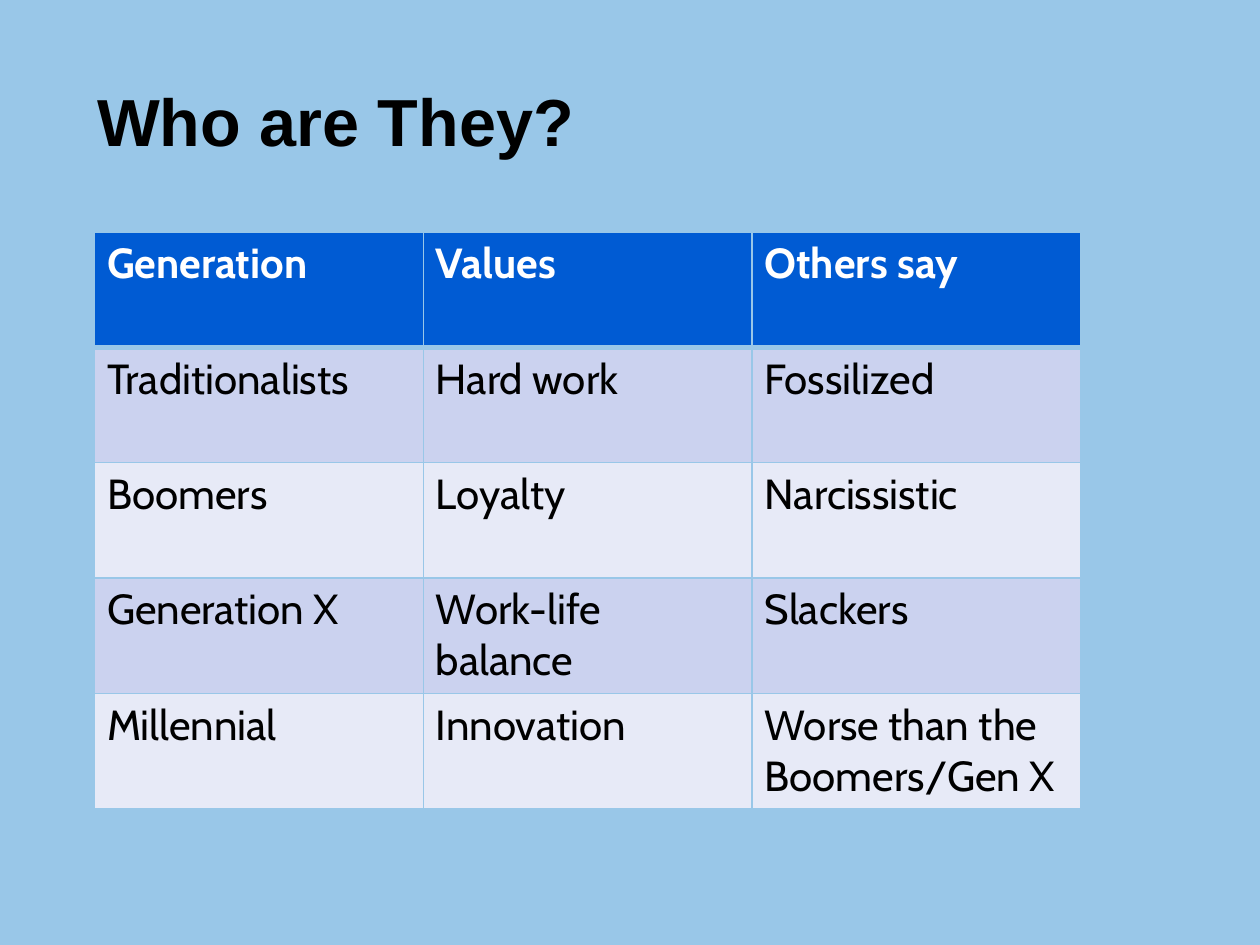
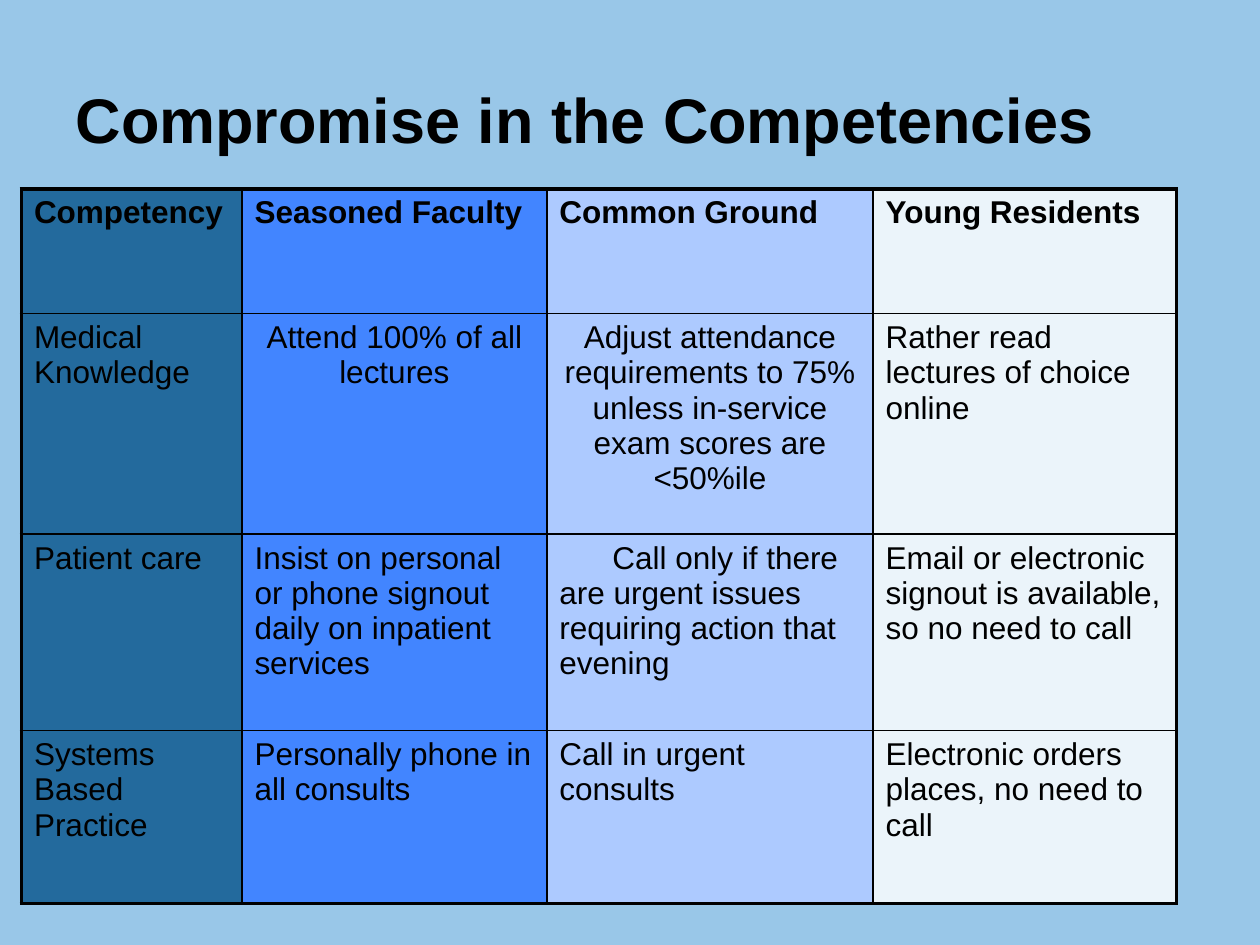
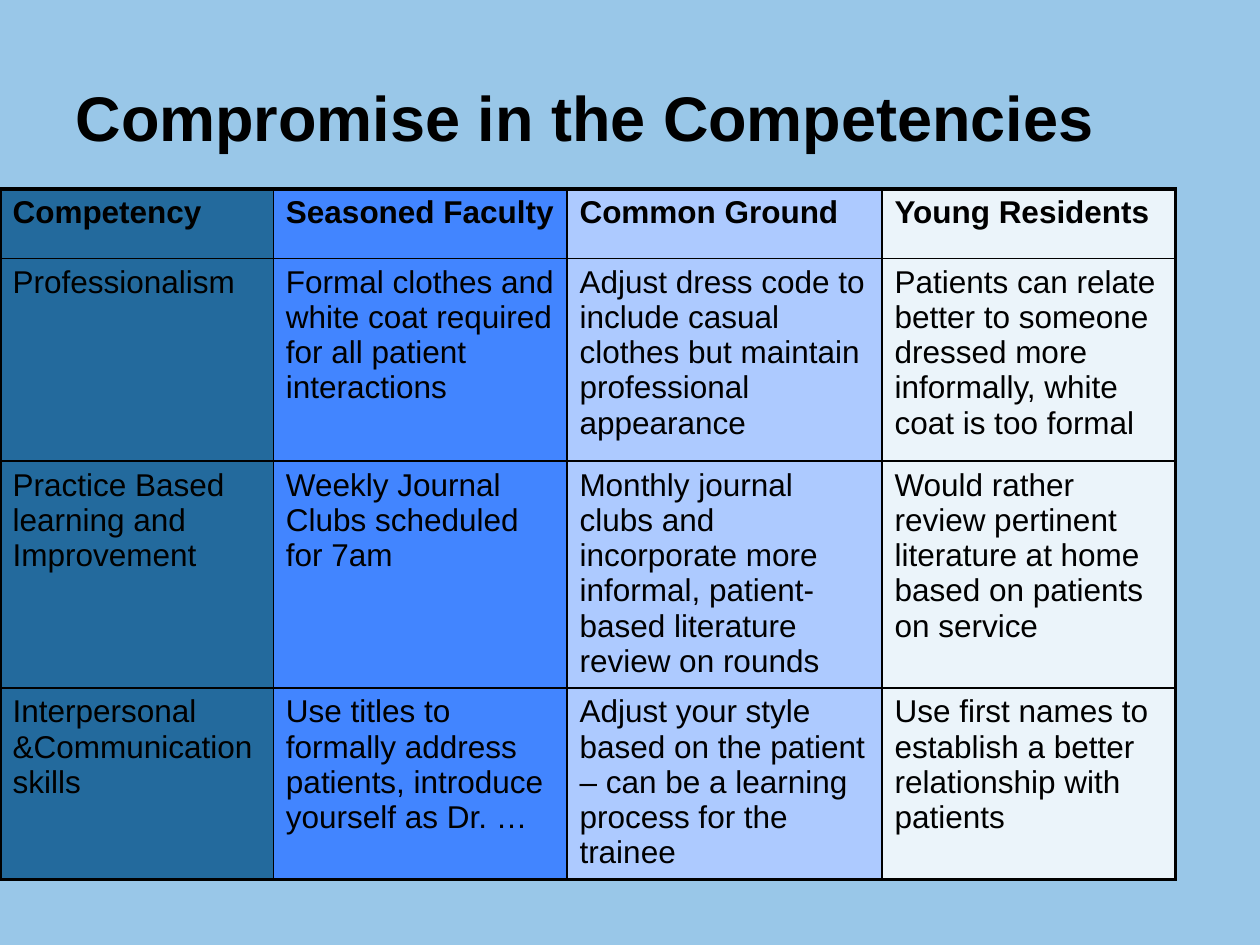
"""Build three slides on generations and on compromise in the competencies."""
from lxml.etree import SubElement
from pptx import Presentation
from pptx.dml.color import RGBColor
from pptx.enum.text import MSO_ANCHOR, MSO_AUTO_SIZE, PP_ALIGN
from pptx.oxml.ns import qn
from pptx.util import Inches, Pt

SKY, BLACK, WHITE = "99C7E8", "000000", "FFFFFF"
HEADER_BLUE, BAND_FILLS = "005BD3", ("CBD2EF", "E7EAF7")
COLUMN_FILLS = ("236A9D", "4285FF", "ADCAFF", "EBF4FA")
HEADINGS = ("Competency", "Seasoned Faculty", "Common Ground", "Young Residents")
COMPROMISE = "Compromise in the Competencies"

GENERATIONS = [
    ("Generation", "Values", "Others say"),
    ("Traditionalists", "Hard work", "Fossilized"),
    ("Boomers", "Loyalty", "Narcissistic"),
    ("Generation X", "Work-life balance", "Slackers"),
    ("Millennial", "Innovation", "Worse than the Boomers/Gen X"),
]
CLINICAL = [
    HEADINGS,
    ("Medical Knowledge", "Attend 100% of all lectures",
     "Adjust attendance requirements to 75% unless in-service exam scores are <50%ile",
     "Rather read lectures of choice online"),
    ("Patient care", "Insist on personal or phone signout daily on inpatient services",
     "Call only if there are urgent issues requiring action that evening",
     "Email or electronic signout is available, so no need to call"),
    ("Systems Based Practice", "Personally phone in all consults",
     "Call in urgent consults", "Electronic orders places, no need to call"),
]
CONDUCT = [
    HEADINGS,
    ("Professionalism", "Formal clothes and white coat required for all patient interactions",
     "Adjust dress code to include casual clothes but maintain professional appearance",
     "Patients can relate better to someone dressed more informally, white coat is too formal"),
    ("Practice Based learning and Improvement", "Weekly Journal Clubs scheduled for 7am",
     "Monthly journal clubs and incorporate more informal, patient-based literature review on rounds",
     "Would rather review pertinent literature at home based on patients on service"),
    ("Interpersonal &Communication skills",
     "Use titles to formally address patients, introduce yourself as Dr. …",
     "Adjust your style based on the patient – can be a learning process for the trainee",
     "Use first names to establish a better relationship with patients"),
]


def rgb(value):
    return RGBColor.from_string(value)


def set_font(paragraph, name, size, color, bold):
    font = paragraph.font
    font.name, font.size, font.bold = name, Pt(size), bold
    font.color.rgb = rgb(color)


def add_titled_slide(deck, heading, box, size):
    slide = deck.slides.add_slide(deck.slide_layouts[5])
    title = slide.shapes.title
    title.left, title.top, title.width, title.height = map(Inches, box)
    frame = title.text_frame
    frame.text = heading
    frame.word_wrap, frame.auto_size = True, MSO_AUTO_SIZE.NONE
    frame.vertical_anchor = MSO_ANCHOR.MIDDLE
    paragraph = frame.paragraphs[0]
    paragraph.alignment, paragraph.line_spacing = PP_ALIGN.LEFT, 0.9
    set_font(paragraph, "Arial", size, BLACK, True)
    return slide


def set_borders(cell, color, widths):
    properties = cell._tc.get_or_add_tcPr()
    for side, width in zip("LRTB", widths):
        line = SubElement(properties, qn(f"a:ln{side}"), w=str(Pt(width)))
        SubElement(SubElement(line, qn("a:solidFill")), qn("a:srgbClr"), val=color)


def add_grid(slide, rows, corner, widths, heights, style):
    left, top = map(Inches, corner)
    table = slide.shapes.add_table(len(rows), len(widths), left, top,
                                   Inches(sum(widths)), Inches(sum(heights))).table
    for column, width in zip(table.columns, widths):
        column.width = Inches(width)
    for row, height in zip(table.rows, heights):
        row.height = Inches(height)
    for r, texts in enumerate(rows):
        for c, text in enumerate(texts):
            cell = table.cell(r, c)
            style(cell, r, c, len(rows))
            cell.text = text
            paragraph = cell.text_frame.paragraphs[0]
            if style is style_generation:
                set_font(paragraph, "Cabin", 24, BLACK if r else WHITE, r == 0)
            else:
                set_font(paragraph, "Arial", 18, BLACK, r == 0)
    return table


def fill_cell(cell, color):
    cell.fill.solid()
    cell.fill.fore_color.rgb = rgb(color)


def style_generation(cell, r, c, row_count):
    set_borders(cell, SKY, (1, 1, 3 if r == 1 else 1, 3 if r == 0 else 1))
    fill_cell(cell, BAND_FILLS[(r - 1) % 2] if r else HEADER_BLUE)


def style_competency(cell, r, c, row_count):
    outer = (c == 0, c == len(HEADINGS) - 1, r == 0, r == row_count - 1)
    set_borders(cell, BLACK, [2.25 if edge else 1 for edge in outer])
    fill_cell(cell, COLUMN_FILLS[c])


def main():
    deck = Presentation()
    deck.slide_width, deck.slide_height = Inches(10), Inches(7.5)
    backdrop = deck.slide_master.background.fill
    backdrop.solid()
    backdrop.fore_color.rgb = rgb(SKY)

    slide = add_titled_slide(deck, "Who are They?", (0.67, 0.49, 8.67, 1.01), 38)
    add_grid(slide, GENERATIONS, (0.75, 1.84), [2.61] * 3,
             [4.58 / len(GENERATIONS)] * len(GENERATIONS), style_generation)

    slide = add_titled_slide(deck, COMPROMISE, (0.5, 0.67, 8.33, 0.62), 36)
    clinical = add_grid(slide, CLINICAL, (0.17, 1.5), (1.75, 2.42, 2.59, 2.41),
                        (0.99, 1.75, 1.56, 1.37), style_competency)
    for c in (1, 2):
        clinical.cell(1, c).text_frame.paragraphs[0].alignment = PP_ALIGN.CENTER
    urgent_call = clinical.cell(2, 2).text_frame.paragraphs[0]
    urgent_call._p.get_or_add_pPr().set("indent", str(Inches(0.42)))

    slide = add_titled_slide(deck, COMPROMISE, (0.5, 0.67, 9, 0.58), 36)
    add_grid(slide, CONDUCT, (0, 1.5), (2.17, 2.33, 2.5, 2.33),
             (0.55, 1.61, 1.8, 1.52), style_competency)

    deck.save("out.pptx")


if __name__ == "__main__":
    main()
